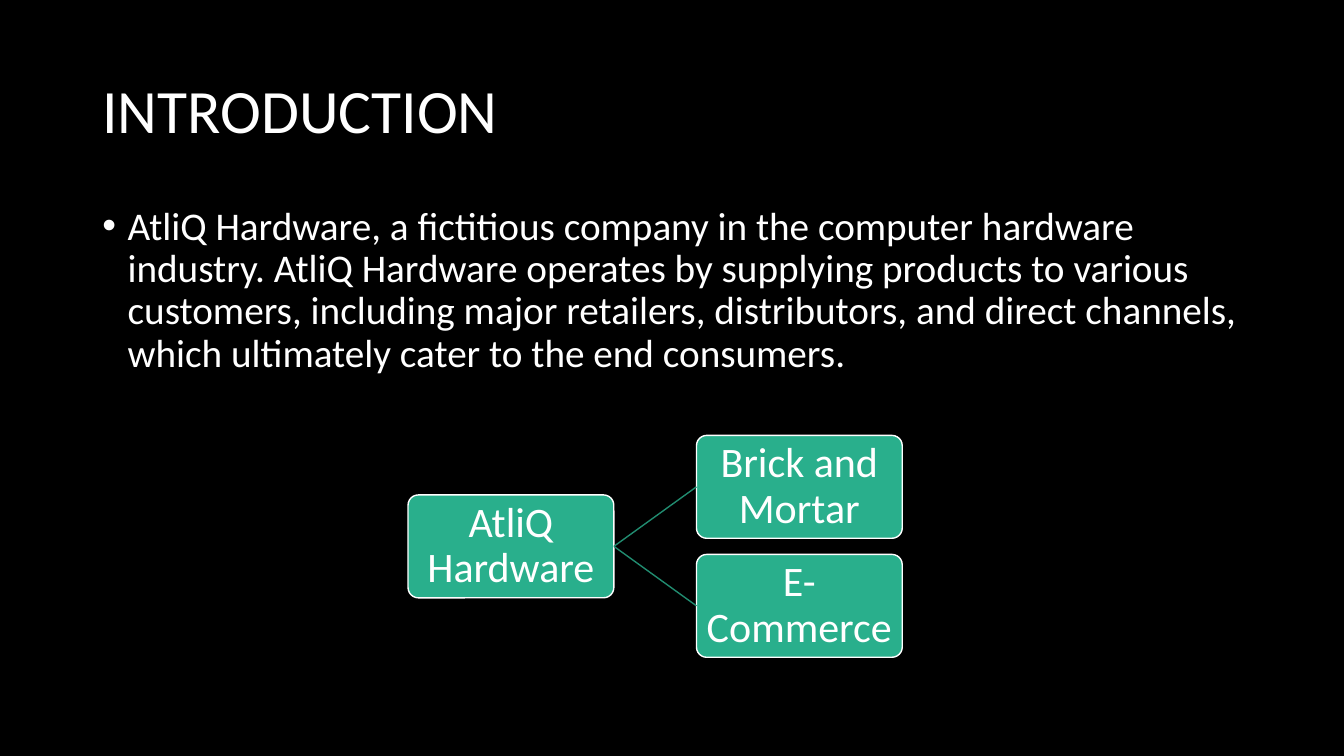
from dataclasses import dataclass
from lxml.etree import SubElement
from pptx import Presentation
from pptx.dml.color import RGBColor
from pptx.enum.shapes import MSO_CONNECTOR, MSO_SHAPE
from pptx.enum.text import MSO_ANCHOR, MSO_AUTO_SIZE, PP_ALIGN
from pptx.oxml.ns import qn
from pptx.util import Pt


@dataclass(frozen=True)
class Theme:
    font: str = "Calibri"
    back: str = "000000"
    ink: str = "FFFFFF"
    node: str = "29AF8C"
    link: str = "218C70"
    title: int = 44
    body: int = 28
    label: int = 30


class Deck:
    def __init__(self, theme):
        self.theme = theme
        self.prs = Presentation()
        self.prs.slide_width, self.prs.slide_height = Pt(960), Pt(540)
        self.slide = self.prs.slides.add_slide(self.prs.slide_layouts[1])
        self.paint(self.slide.background.fill, theme.back)

    def paint(self, fill, color):
        fill.solid()
        fill.fore_color.rgb = RGBColor.from_string(color)

    def place(self, shape, left, top, width, height):
        shape.left, shape.top = Pt(left), Pt(top)
        shape.width, shape.height = Pt(width), Pt(height)

    def label(self, frame, text, size, align, anchor):
        frame.word_wrap = True
        frame.auto_size = MSO_AUTO_SIZE.NONE
        frame.vertical_anchor = anchor
        para = frame.paragraphs[0]
        para.alignment = align
        para.line_spacing = 0.9
        para.space_before = Pt(0)
        run = para.add_run()
        run.text = text
        run.font.name = self.theme.font
        run.font.size = Pt(size)
        run.font.color.rgb = RGBColor.from_string(self.theme.ink)
        return para

    def title(self, text, *box):
        shape = self.slide.shapes.title
        self.place(shape, *box)
        self.label(shape.text_frame, text, self.theme.title,
                   PP_ALIGN.LEFT, MSO_ANCHOR.MIDDLE)

    def bullet(self, text, *box):
        shape = self.slide.placeholders[1]
        self.place(shape, *box)
        para = self.label(shape.text_frame, text, self.theme.body,
                          PP_ALIGN.LEFT, MSO_ANCHOR.TOP)
        props = para._p.get_or_add_pPr()
        props.set("marL", str(Pt(18)))
        props.set("indent", str(Pt(-18)))
        SubElement(props, qn("a:buFont")).set("typeface", "Arial")
        SubElement(props, qn("a:buChar")).set("char", "•")

    def node(self, text, *box):
        shape = self.slide.shapes.add_shape(
            MSO_SHAPE.ROUNDED_RECTANGLE, *map(Pt, box))
        shape.adjustments[0] = 0.1
        shape.shadow.inherit = False
        self.paint(shape.fill, self.theme.node)
        self.paint(shape.line.fill, self.theme.ink)
        shape.line.width = Pt(1)
        frame = shape.text_frame
        frame.margin_left = frame.margin_right = Pt(3.5)
        frame.margin_top = frame.margin_bottom = Pt(3.5)
        self.label(frame, text, self.theme.label,
                   PP_ALIGN.CENTER, MSO_ANCHOR.MIDDLE)
        return shape

    def link(self, start, end):
        line = self.slide.shapes.add_connector(MSO_CONNECTOR.STRAIGHT, 0, 0, 0, 0)
        line.begin_connect(start, 3)
        line.end_connect(end, 1)
        self.paint(line.line.fill, self.theme.link)
        line.line.width = Pt(1)
        SubElement(line._element.spPr, qn("a:effectLst"))


def main():
    deck = Deck(Theme())
    deck.title("INTRODUCTION", 66, 28.75, 828, 104.4)
    deck.bullet(
        "AtliQ Hardware, a fictitious company in the computer hardware industry. "
        "AtliQ Hardware operates by supplying products to various customers, "
        "including major retailers, distributors, and direct channels, which "
        "ultimately cater to the end consumers.", 66, 143.75, 828, 342.6)

    wide, high = 147, 73.5
    left, top = 291.5, 311
    step, pitch = wide + 59, 85
    root = deck.node("AtliQ Hardware", left, top + pitch / 2, wide, high)
    for row, name in enumerate(("Brick and Mortar", "E-Commerce")):
        leaf = deck.node(name, left + step, top + row * pitch, wide, high)
        deck.link(root, leaf)
    deck.prs.save("out.pptx")


if __name__ == "__main__":
    main()
